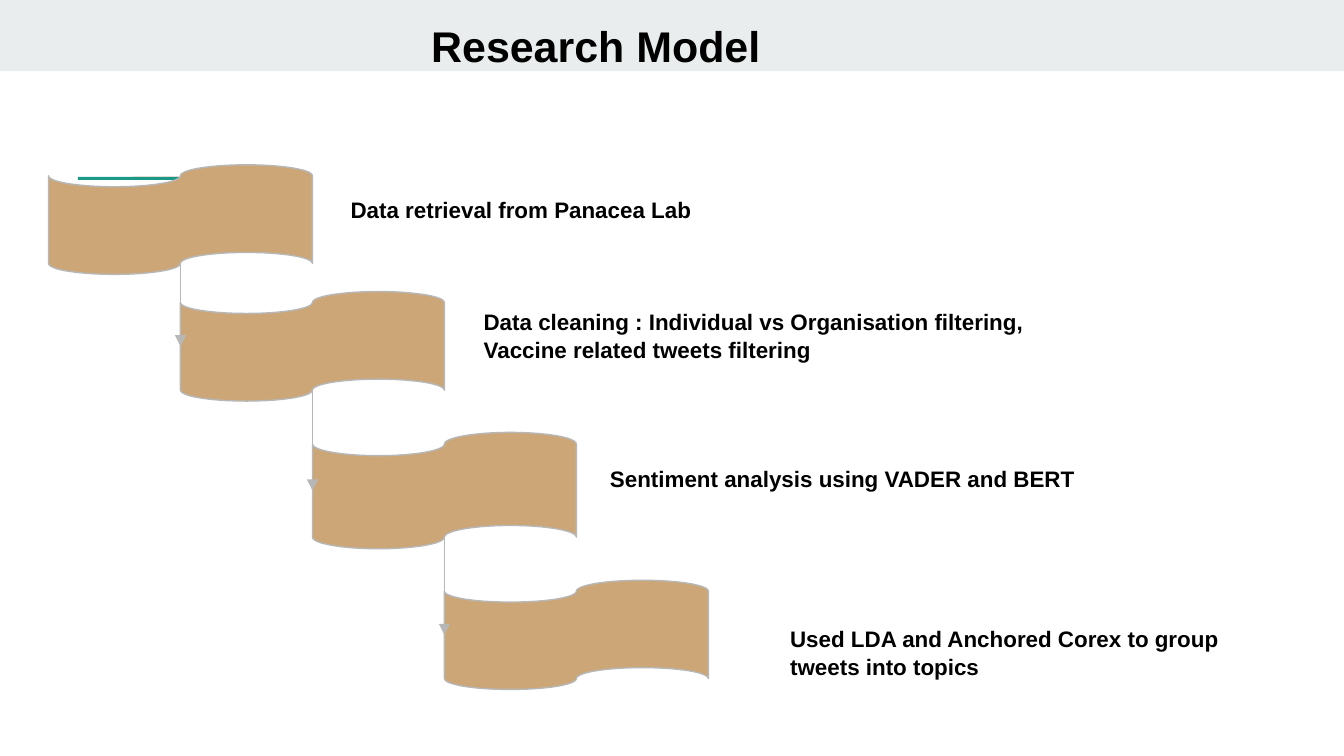
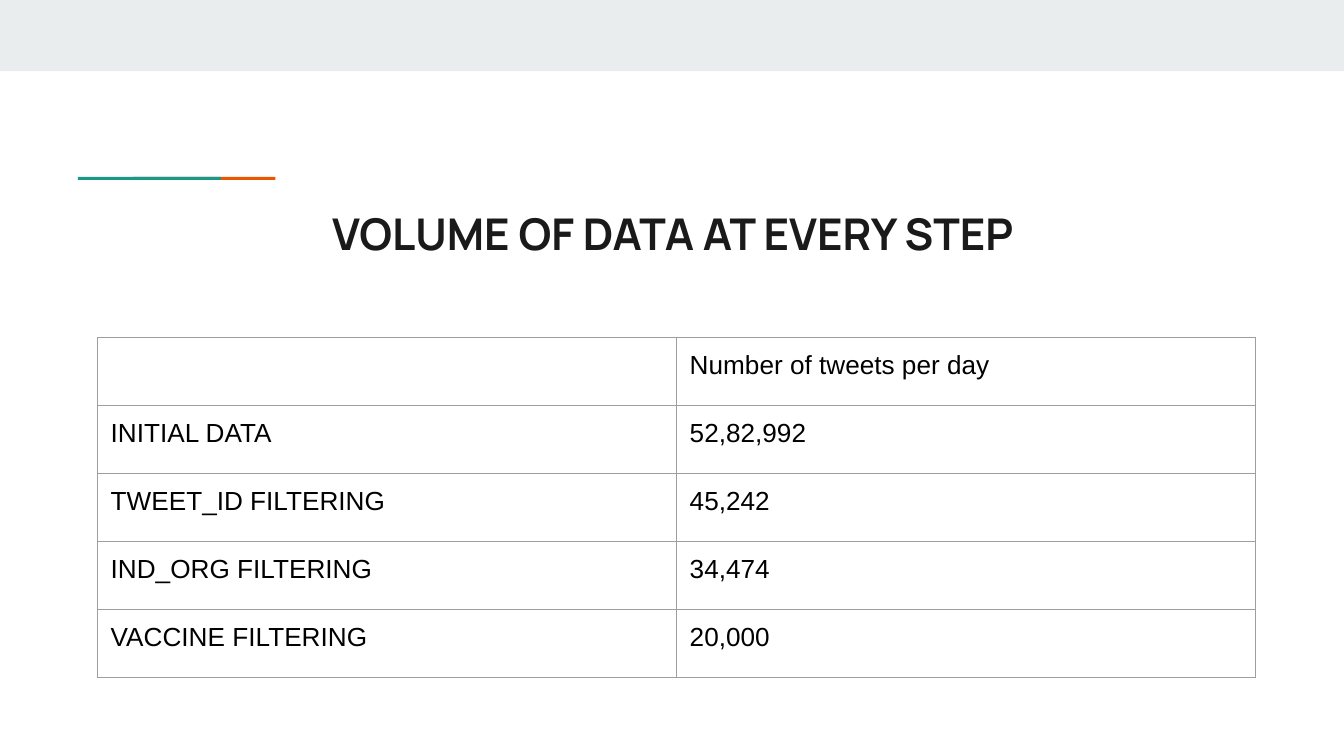
"""Builds two slides: the research model steps and the tweet volume table."""
from lxml import etree
from pptx import Presentation
from pptx.dml.color import RGBColor
from pptx.enum.shapes import MSO_CONNECTOR, MSO_SHAPE
from pptx.enum.text import MSO_ANCHOR, MSO_AUTO_SIZE, PP_ALIGN
from pptx.oxml import parse_xml
from pptx.oxml.ns import nsdecls, qn
from pptx.util import Pt

RECTANGLE = MSO_SHAPE.RECTANGLE
TAPE = MSO_SHAPE.FLOWCHART_PUNCHED_TAPE
STRAIGHT = MSO_CONNECTOR.STRAIGHT
MIDDLE, TOP = MSO_ANCHOR.MIDDLE, MSO_ANCHOR.TOP
LEFT, CENTER = PP_ALIGN.LEFT, PP_ALIGN.CENTER
GROW = MSO_AUTO_SIZE.SHAPE_TO_FIT_TEXT
BOTTOM_SIDE, LEFT_SIDE = 2, 1

COLORS = {
    "band": "E9EDEE", "orange": "EB5600", "teal": "1A9988", "tape": "CCA677",
    "outline": "B7B7B7", "grid": "9E9E9E", "black": "000000", "heading": "1A1A1A",
}
MODEL_TITLE = {"name": "Arial", "size": Pt(23), "bold": True}
VOLUME_TITLE = {"name": "Manrope", "size": Pt(23.4), "bold": True}
STEP_TEXT = {"name": "Arial", "size": Pt(12), "bold": True}
CELL_TEXT = {"name": "Arial", "size": Pt(14), "bold": False}
INSET = Pt(7.2)


def add_block(slide, kind, box, fill):
    block = slide.shapes.add_shape(kind, *map(Pt, box))
    block.shadow.inherit = False
    block.fill.solid()
    block.fill.fore_color.rgb = RGBColor.from_string(COLORS[fill])
    block.line.fill.background()
    return block


def write(frame, text, formats, color, align=LEFT):
    for side in ("left", "top", "right", "bottom"):
        setattr(frame, f"margin_{side}", INSET)
    frame.word_wrap = True
    paragraph = frame.paragraphs[0]
    paragraph.alignment = align
    run = paragraph.add_run()
    run.text = text
    for key, value in formats.items():
        setattr(run.font, key, value)
    run.font.color.rgb = RGBColor.from_string(COLORS[color])
    return paragraph


prs = Presentation()
prs.slide_width, prs.slide_height = Pt(720), Pt(405)
model, volume = [prs.slides.add_slide(prs.slide_layouts[6]) for _ in range(2)]

for slide in (model, volume):
    add_block(slide, RECTANGLE, (0, 0, 720, 38.2), "band")
    add_block(slide, RECTANGLE, (71.2, 94.8, 76.4, 1.6), "orange")
    add_block(slide, RECTANGLE, (41.8, 94.8, 76.6, 1.6), "teal")

titles = [
    (model, "Research Model", (223.9, 1.4, 348.5, 45.4), MODEL_TITLE, "black", LEFT),
    (volume, "VOLUME OF DATA AT EVERY STEP", (57.6, 103.7, 605.5, 42.5),
     VOLUME_TITLE, "heading", CENTER),
]
for slide, text, box, formats, color, align in titles:
    title = slide.shapes.add_textbox(*map(Pt, box)).text_frame
    title.vertical_anchor = MIDDLE
    write(title, text, formats, color, align)

tape_left, tape_step = 26, 70.7
steps = [
    (88.3, 58.7, "Data retrieval from Panacea Lab", (180.7, 97.2, 255.6, 28.8)),
    (156.2, 58.7, "Data cleaning : Individual vs Organisation filtering, "
     "Vaccine related tweets filtering", (252, 157, 327.6, 43.9)),
    (231.7, 62.3, "Sentiment analysis using VADER and BERT", (319.7, 241.2, 327.6, 28.8)),
    (310.9, 58.5, "Used LDA and Anchored Corex to group tweets into topics",
     (416.2, 326.9, 249.8, 43.9)),
]
tapes = []
for index, (top, height, text, text_box) in enumerate(steps):
    box = (tape_left + index * tape_step, top, 2 * tape_step, height)
    tape = add_block(model, TAPE, box, "tape")
    tape.line.color.rgb = RGBColor.from_string(COLORS["outline"])
    tape.line.width = Pt(0.75)
    tapes.append(tape)
    label = model.shapes.add_textbox(*map(Pt, text_box)).text_frame
    label.auto_size = GROW
    label.vertical_anchor = TOP
    write(label, text, STEP_TEXT, "black").line_spacing = 1.05

for upper, lower in zip(tapes, tapes[1:]):
    arrow = model.shapes.add_connector(STRAIGHT, 0, 0, 0, 0)
    arrow.begin_connect(upper, BOTTOM_SIDE)
    arrow.end_connect(lower, LEFT_SIDE)
    arrow.begin_y = upper.top + int(upper.height * 0.9)
    arrow.line.color.rgb = RGBColor.from_string(COLORS["outline"])
    arrow.line.width = Pt(0.75)
    etree.SubElement(arrow.line._get_or_add_ln(), qn("a:tailEnd"), type="triangle")
    etree.SubElement(arrow._element.spPr, qn("a:effectLst"))

rows = [
    ("", "Number of tweets per day"),
    ("INITIAL DATA", "52,82,992"),
    ("TWEET_ID FILTERING", "45,242"),
    ("IND_ORG FILTERING", "34,474"),
    ("VACCINE FILTERING", "20,000"),
]
column_width, row_height = 310.2, 36.4
table = volume.shapes.add_table(
    len(rows), 2, Pt(52.1), Pt(180.8), Pt(2 * column_width), Pt(len(rows) * row_height)
).table
table.first_row = table.horz_banding = False
for column in table.columns:
    column.width = Pt(column_width)
for table_row, values in zip(table.rows, rows):
    table_row.height = Pt(row_height)
    for cell, value in zip(table_row.cells, values):
        for side in ("left", "top", "right", "bottom"):
            setattr(cell, f"margin_{side}", INSET)
        if value:
            write(cell.text_frame, value, CELL_TEXT, "black")
        properties = cell._tc.get_or_add_tcPr()
        for edge in "LRTB":
            properties.append(parse_xml(
                f'<a:ln{edge} {nsdecls("a")} w="{Pt(0.75)}"><a:solidFill>'
                f'<a:srgbClr val="{COLORS["grid"]}"/></a:solidFill></a:ln{edge}>'))
        cell.fill.background()

prs.save("out.pptx")
